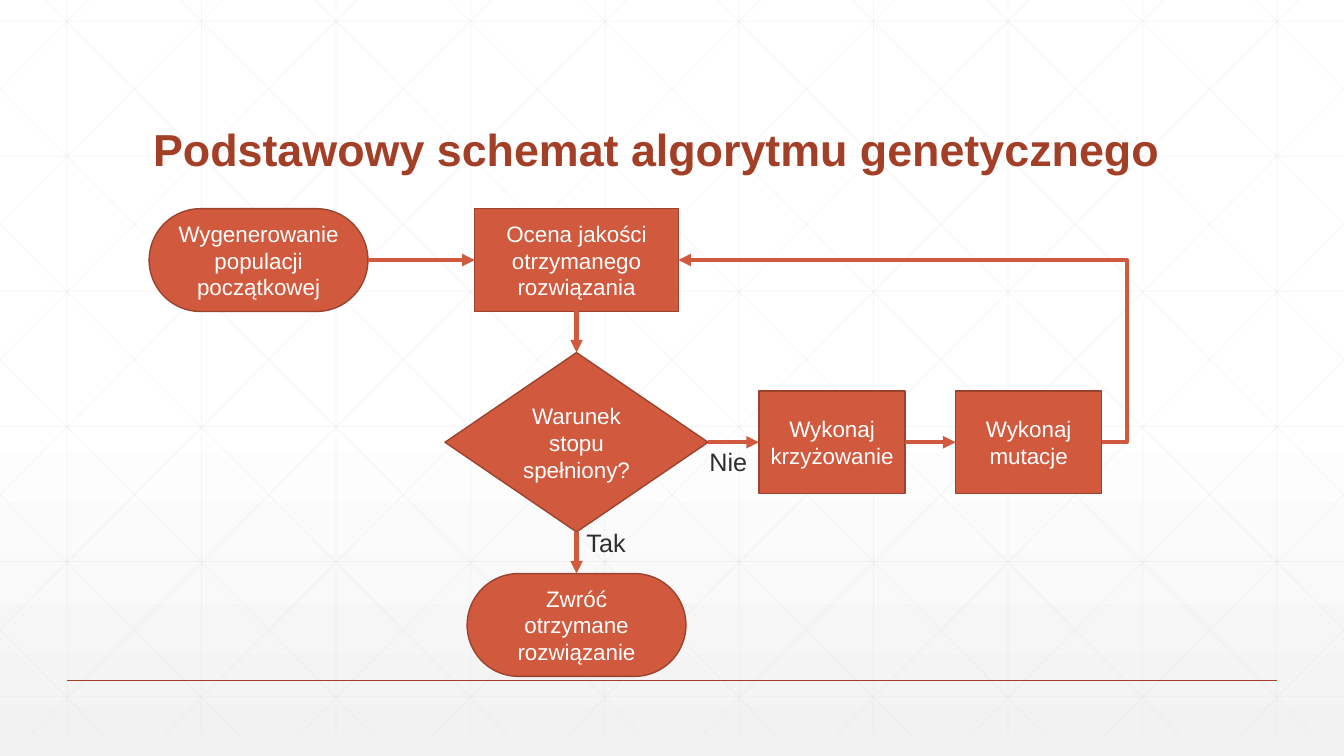
"""Builds the flowchart slide of the basic genetic algorithm."""
from dataclasses import dataclass

from lxml.etree import SubElement
from pptx import Presentation
from pptx.dml.color import RGBColor
from pptx.enum.shapes import MSO_CONNECTOR, MSO_SHAPE
from pptx.enum.text import MSO_ANCHOR, PP_ALIGN
from pptx.oxml.ns import qn
from pptx.shapes.autoshape import Shape
from pptx.shapes.connector import Connector
from pptx.text.text import TextFrame
from pptx.util import Inches, Length, Pt

WIDTH, HEIGHT = 13.33, 7.5
FONT = "Arial"
ACCENT, EDGE, HEADING = "D15A3E", "9B432E", "A43F27"
WHITE, INK, LATTICE = "FFFFFF", "2D2E2D", "D9D9D9"
TOP, LEFT, BOTTOM, RIGHT = range(4)
MAIN_COLUMN, FIRST_ROW, LOOP_ROW = 42.9, 34.4, 58.5
NODE_HEIGHT, TERMINAL_WIDTH, STEP_WIDTH = 13.6, 16.28, 10.88


@dataclass(frozen=True)
class Node:
    """A flowchart node placed by its centre, in percent of the slide."""
    text: str
    kind: MSO_SHAPE
    center: float
    middle: float
    width: float
    height: float = NODE_HEIGHT


@dataclass(frozen=True)
class Link:
    """An arrow between two connection sites of named nodes."""
    source: str
    source_site: int
    target: str
    target_site: int
    kind: MSO_CONNECTOR = MSO_CONNECTOR.STRAIGHT


@dataclass(frozen=True)
class Label:
    """A free text placed by its corner, in percent of the slide."""
    text: str
    left: float
    top: float
    width: float
    height: float
    size: int
    color: str
    bold: bool = False


NODES = {
    "start": Node("Wygenerowanie populacji początkowej", MSO_SHAPE.ROUNDED_RECTANGLE,
                  19.24, FIRST_ROW, TERMINAL_WIDTH),
    "evaluation": Node("Ocena jakości otrzymanego rozwiązania", MSO_SHAPE.RECTANGLE,
                       MAIN_COLUMN, FIRST_ROW, 15.15),
    "condition": Node("Warunek stopu spełniony?", MSO_SHAPE.DIAMOND,
                      MAIN_COLUMN, LOOP_ROW, 19.58, 23.73),
    "result": Node("Zwróć otrzymane rozwiązanie", MSO_SHAPE.ROUNDED_RECTANGLE,
                   MAIN_COLUMN, 82.67, TERMINAL_WIDTH),
    "crossover": Node("Wykonaj krzyżowanie", MSO_SHAPE.RECTANGLE,
                      61.91, LOOP_ROW, STEP_WIDTH),
    "mutation": Node("Wykonaj mutacje", MSO_SHAPE.RECTANGLE,
                     76.54, LOOP_ROW, STEP_WIDTH),
}
LINKS = [
    Link("start", RIGHT, "evaluation", LEFT),
    Link("evaluation", BOTTOM, "condition", TOP),
    Link("condition", BOTTOM, "result", TOP),
    Link("condition", RIGHT, "crossover", LEFT),
    Link("crossover", RIGHT, "mutation", LEFT),
    Link("mutation", RIGHT, "evaluation", RIGHT, MSO_CONNECTOR.ELBOW),
]
LABELS = [
    Label("Podstawowy schemat algorytmu genetycznego",
          10.65, 7.33, 78.75, 16.67, 32, HEADING, True),
    Label("Tak", MAIN_COLUMN, 69.07, 5.25, 5.33, 18, INK),
    Label("Nie", 52.05, 58.4, 5.25, 5.33, 18, INK),
]


def across(share: float) -> Length:
    """Return a percentage of the slide width."""
    return Inches(WIDTH * share / 100)


def down(share: float) -> Length:
    """Return a percentage of the slide height."""
    return Inches(HEIGHT * share / 100)


def rgb(color: str) -> RGBColor:
    """Return the colour of a hex string."""
    return RGBColor.from_string(color)


def write(frame: TextFrame, text: str, size: int, color: str, bold: bool = False) -> None:
    """Write one run into a wrapping text frame."""
    frame.word_wrap = True
    span = frame.paragraphs[0].add_run()
    span.text = text
    span.font.name, span.font.size, span.font.bold = FONT, Pt(size), bold
    span.font.color.rgb = rgb(color)


def style_line(line: Connector, color: str, weight: float) -> None:
    """Give a connector its colour and weight and remove its shadow."""
    line.line.color.rgb = rgb(color)
    line.line.width = Pt(weight)
    SubElement(line._element.spPr, qn("a:effectLst"))


def draw_line(x1: float, y1: float, x2: float, y2: float,
              color: str = LATTICE, weight: float = 0.5) -> Connector:
    """Draw a straight line between two points in percent."""
    line = page.shapes.add_connector(
        MSO_CONNECTOR.STRAIGHT, across(x1), down(y1), across(x2), down(y2))
    style_line(line, color, weight)
    return line


def draw_lattice() -> None:
    """Draw the faint lattice of upright, level and diagonal lines."""
    top, bottom, run = -2.8, 97.2, 55.9
    lines = [draw_line(5 + 10 * i, top, 5 + 10 * i, bottom) for i in range(10)]
    lines += [draw_line(0, 2.8 + 17.87 * i, 100, 2.8 + 17.87 * i) for i in range(6)]
    for i in range(-5, 10):
        start = 1.85 + 10 * i
        x1, x2 = max(0, start), min(100, start + run)
        y1, y2 = (top + 100 * (x - start) / run for x in (x1, x2))
        lines += [draw_line(x1, y1, x2, y2), draw_line(100 - x1, y1, 100 - x2, y2)]
    for line in lines:
        for tint in line._element.spPr.iter(qn("a:srgbClr")):
            SubElement(tint, qn("a:alpha"), val="25000")


def draw_node(node: Node) -> Shape:
    """Draw a filled node with centred text."""
    box = page.shapes.add_shape(
        node.kind, across(node.center - node.width / 2), down(node.middle - node.height / 2),
        across(node.width), down(node.height))
    if node.kind == MSO_SHAPE.ROUNDED_RECTANGLE:
        box.adjustments[0] = 0.5
    box.shadow.inherit = False
    box.fill.solid()
    box.fill.fore_color.rgb = rgb(ACCENT)
    box.line.color.rgb = rgb(EDGE)
    box.line.width = Pt(1)
    box.text_frame.vertical_anchor = MSO_ANCHOR.MIDDLE
    write(box.text_frame, node.text, 16, WHITE)
    box.text_frame.paragraphs[0].alignment = PP_ALIGN.CENTER
    return box


def draw_link(link: Link, boxes: dict[str, Shape]) -> None:
    """Draw an arrow glued to two nodes."""
    arrow = page.shapes.add_connector(link.kind, 0, 0, 0, 0)
    arrow.begin_connect(boxes[link.source], link.source_site)
    arrow.end_connect(boxes[link.target], link.target_site)
    style_line(arrow, ACCENT, 3)
    SubElement(arrow.line._get_or_add_ln(), qn("a:tailEnd"), type="triangle")
    if link.kind == MSO_CONNECTOR.ELBOW:
        guides = arrow._element.spPr.find(qn("a:prstGeom")).get_or_add_avLst()
        SubElement(guides, qn("a:gd"), name="adj1", fmla="val -5900")


def draw_label(label: Label) -> None:
    """Draw a free text; bold ones stand on the bottom of their box."""
    box = page.shapes.add_textbox(
        across(label.left), down(label.top), across(label.width), down(label.height))
    write(box.text_frame, label.text, label.size, label.color, label.bold)
    if label.bold:
        box.text_frame.vertical_anchor = MSO_ANCHOR.BOTTOM
        box.text_frame.paragraphs[0].line_spacing = 0.9


deck = Presentation()
deck.slide_width, deck.slide_height = Inches(WIDTH), Inches(HEIGHT)
page = deck.slides.add_slide(deck.slide_layouts[6])
backdrop = page.background.fill
backdrop.gradient()
backdrop.gradient_angle = 270
for stop, position, shade in zip(backdrop.gradient_stops, (0.53, 1), (WHITE, "F2F2F2")):
    stop.position = position
    stop.color.rgb = rgb(shade)
draw_lattice()
draw_line(5, 90, 95, 90, HEADING, 1)
node_boxes = {name: draw_node(node) for name, node in NODES.items()}
for flow in LINKS:
    draw_link(flow, node_boxes)
for caption in LABELS:
    draw_label(caption)
deck.save("out.pptx")
